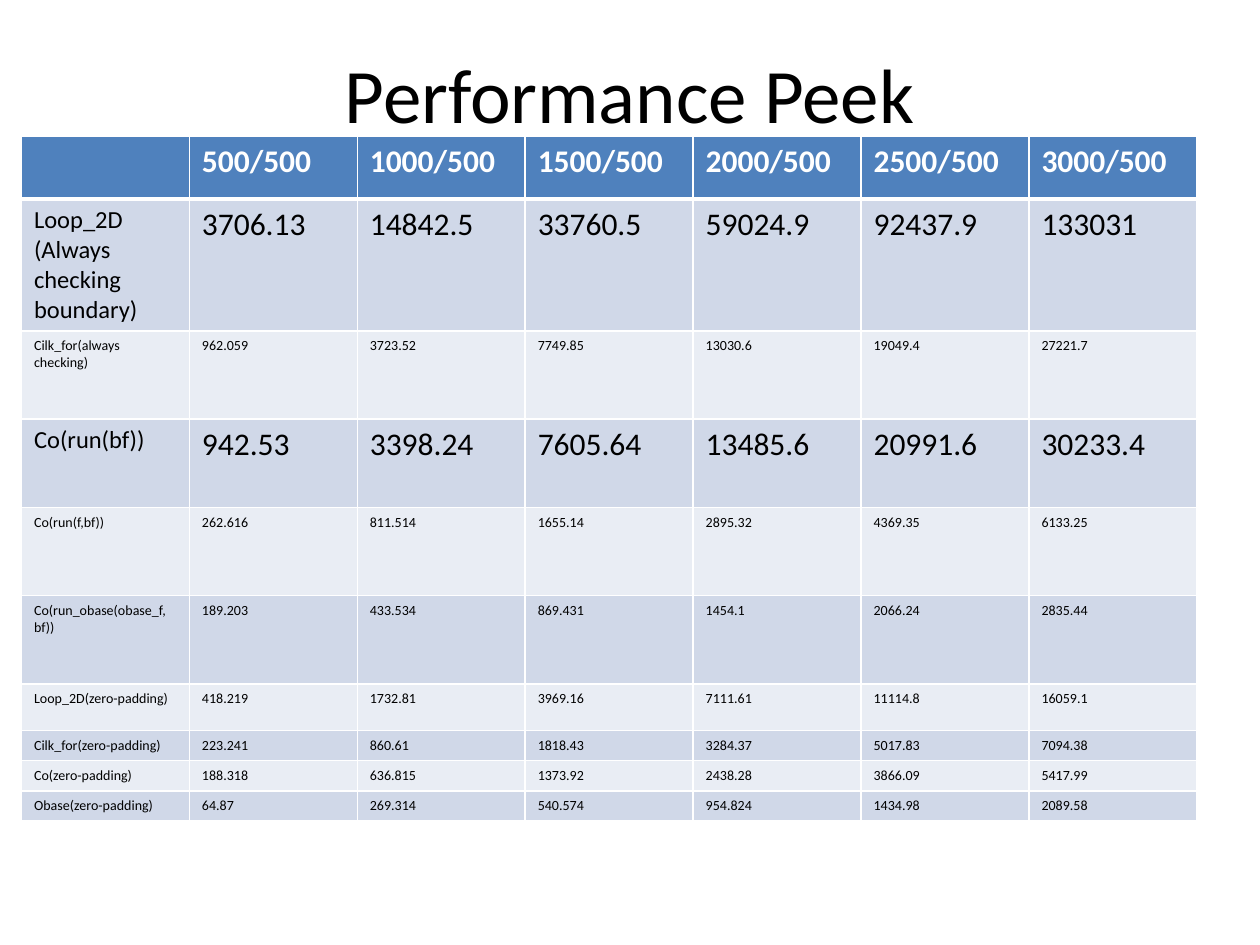
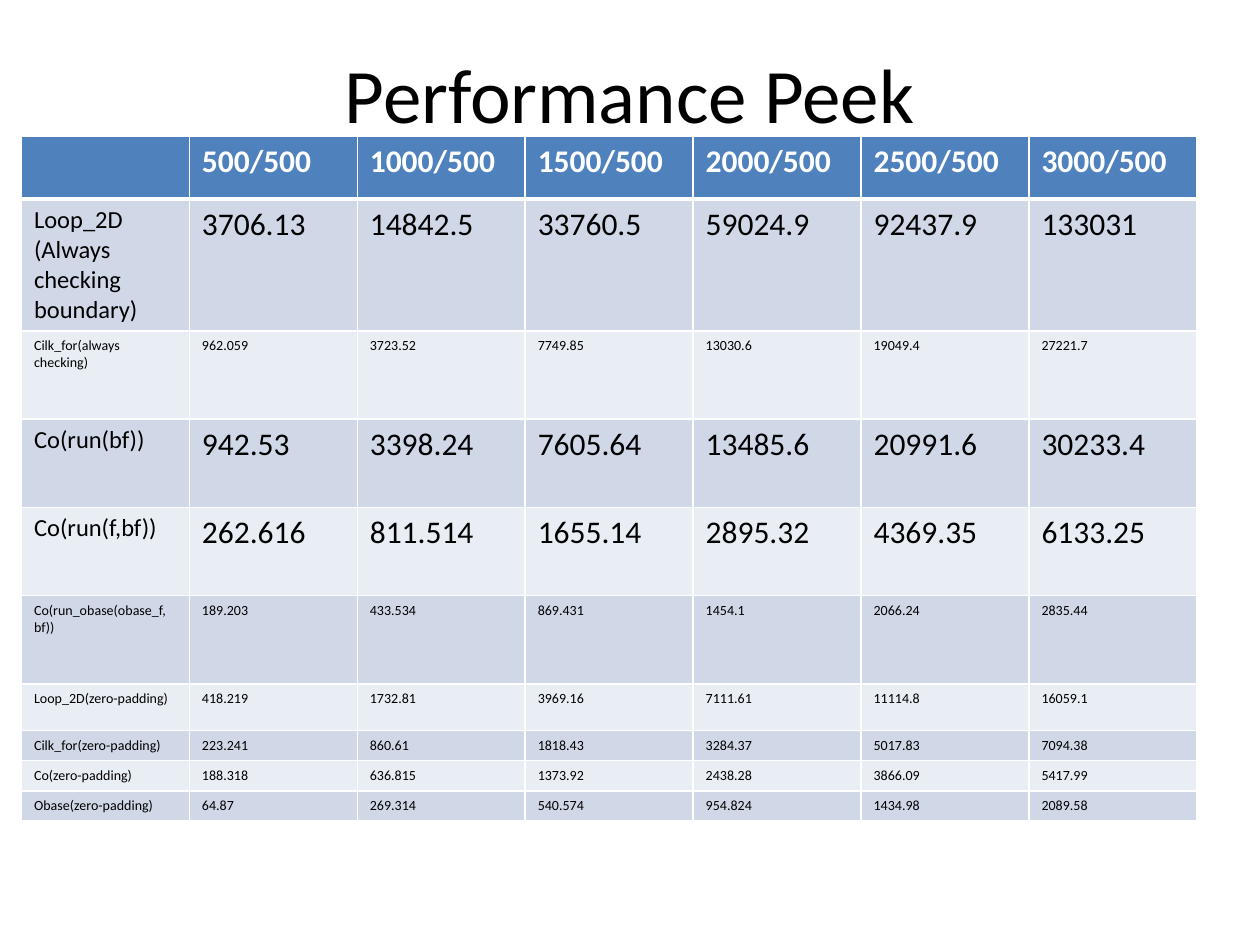
from dataclasses import dataclass

from lxml import etree
from pptx import Presentation
from pptx.dml.color import RGBColor
from pptx.enum.text import MSO_ANCHOR, PP_ALIGN
from pptx.oxml.ns import qn
from pptx.util import Inches, Pt

MIDDLE = MSO_ANCHOR.MIDDLE
CENTER = PP_ALIGN.CENTER
TITLE_ONLY = 5


@dataclass(frozen=True)
class Theme:
    font: str = "Calibri"
    text: str = "000000"
    white: str = "FFFFFF"
    header: str = "4F81BD"
    bands: tuple = ("D0D8E8", "E9EDF4")
    title_size: int = 44
    value_size: int = 18
    label_size: int = 14
    muted_size: int = 8
    thin_border: float = 1
    header_border: float = 3


# Content: grid sizes, then run times of each method
GRID_SIZES = [f"{size}/500" for size in range(500, 3001, 500)]
RUN_TIMES = {
    "Loop_2D\n(Always checking boundary)":
        "3706.13 14842.5 33760.5 59024.9 92437.9 133031",
    "Cilk_for(always checking)":
        "962.059 3723.52 7749.85 13030.6 19049.4 27221.7",
    "Co(run(bf))": "942.53 3398.24 7605.64 13485.6 20991.6 30233.4",
    "Co(run(f,bf))": "262.616 811.514 1655.14 2895.32 4369.35 6133.25",
    "Co(run_obase(obase_f, bf))":
        "189.203 433.534 869.431 1454.1 2066.24 2835.44",
    "Loop_2D(zero-padding)": "418.219 1732.81 3969.16 7111.61 11114.8 16059.1",
    "Cilk_for(zero-padding)": "223.241 860.61 1818.43 3284.37 5017.83 7094.38",
    "Co(zero-padding)": "188.318 636.815 1373.92 2438.28 3866.09 5417.99",
    "Obase(zero-padding)": "64.87 269.314 540.574 954.824 1434.98 2089.58",
}
ROW_HEIGHTS = [0.5, 1.04] + [0.7] * 4 + [0.37] + [0.24] * 3

# Methods shown large, by row number, on each slide
HIGHLIGHTS = [{1, 3}, {1, 3, 4}]


class Deck:
    def __init__(self, theme):
        self.theme = theme
        self.presentation = Presentation()
        self.presentation.slide_width = Inches(10)
        self.presentation.slide_height = Inches(7.5)
        self.slide = None

    def add_slide(self):
        layout = self.presentation.slide_layouts[TITLE_ONLY]
        self.slide = self.presentation.slides.add_slide(layout)

    def format_text(self, frame, size, color, bold=False):
        font_format = {"name": self.theme.font, "size": Pt(size), "bold": bold}
        for paragraph in frame.paragraphs:
            for run in paragraph.runs:
                for attribute, value in font_format.items():
                    setattr(run.font, attribute, value)
                run.font.color.rgb = RGBColor.from_string(color)

    def title(self, text):
        heading = self.slide.shapes.title
        box = {"left": 0.5, "top": 0.3, "width": 9, "height": 0.87}
        for attribute, value in box.items():
            setattr(heading, attribute, Inches(value))
        frame = heading.text_frame
        frame.text = text
        frame.vertical_anchor = MIDDLE
        frame.paragraphs[0].alignment = CENTER
        self.format_text(frame, self.theme.title_size, self.theme.text)

    def borders(self, cell, row):
        theme = self.theme
        widths = {
            "a:lnL": theme.thin_border,
            "a:lnR": theme.thin_border,
            "a:lnT": theme.header_border if row == 1 else theme.thin_border,
            "a:lnB": theme.header_border if row == 0 else theme.thin_border,
        }
        properties = cell._tc.get_or_add_tcPr()
        for tag, width in widths.items():
            line = etree.SubElement(properties, qn(tag), w=str(Pt(width)))
            fill = etree.SubElement(line, qn("a:solidFill"))
            etree.SubElement(fill, qn("a:srgbClr"), val=theme.white)

    def cell(self, cell, text, row, size):
        theme = self.theme
        is_header = row == 0
        cell.text = text
        self.borders(cell, row)
        fill_color = theme.header if is_header else theme.bands[(row - 1) % 2]
        cell.fill.solid()
        cell.fill.fore_color.rgb = RGBColor.from_string(fill_color)
        text_color = theme.white if is_header else theme.text
        self.format_text(cell.text_frame, size, text_color, is_header)

    def timing_table(self, highlighted):
        theme = self.theme
        rows = [["", *GRID_SIZES]]
        rows += [[label, *times.split()] for label, times in RUN_TIMES.items()]
        table = self.slide.shapes.add_table(
            len(rows), len(rows[0]), Inches(0.17), Inches(1.08),
            Inches(9.33), Inches(sum(ROW_HEIGHTS))).table
        for table_row, height in zip(table.rows, ROW_HEIGHTS):
            table_row.height = Inches(height)
        for r, texts in enumerate(rows):
            for c, text in enumerate(texts):
                if r and r not in highlighted:
                    size = theme.muted_size
                else:
                    size = theme.value_size if c else theme.label_size
                self.cell(table.cell(r, c), text, r, size)


def main():
    deck = Deck(Theme())
    for highlighted in HIGHLIGHTS:
        deck.add_slide()
        deck.title("Performance Peek")
        deck.timing_table(highlighted)
    deck.presentation.save("out.pptx")


if __name__ == "__main__":
    main()
